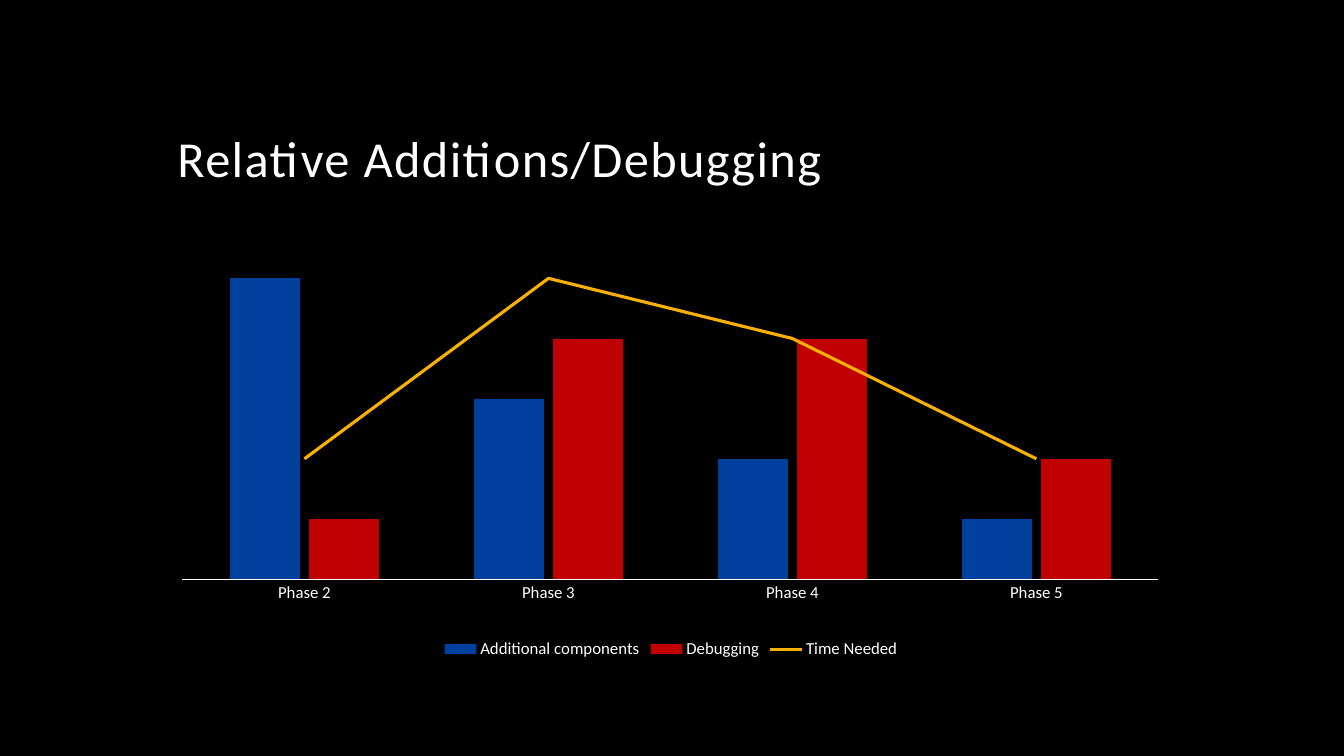
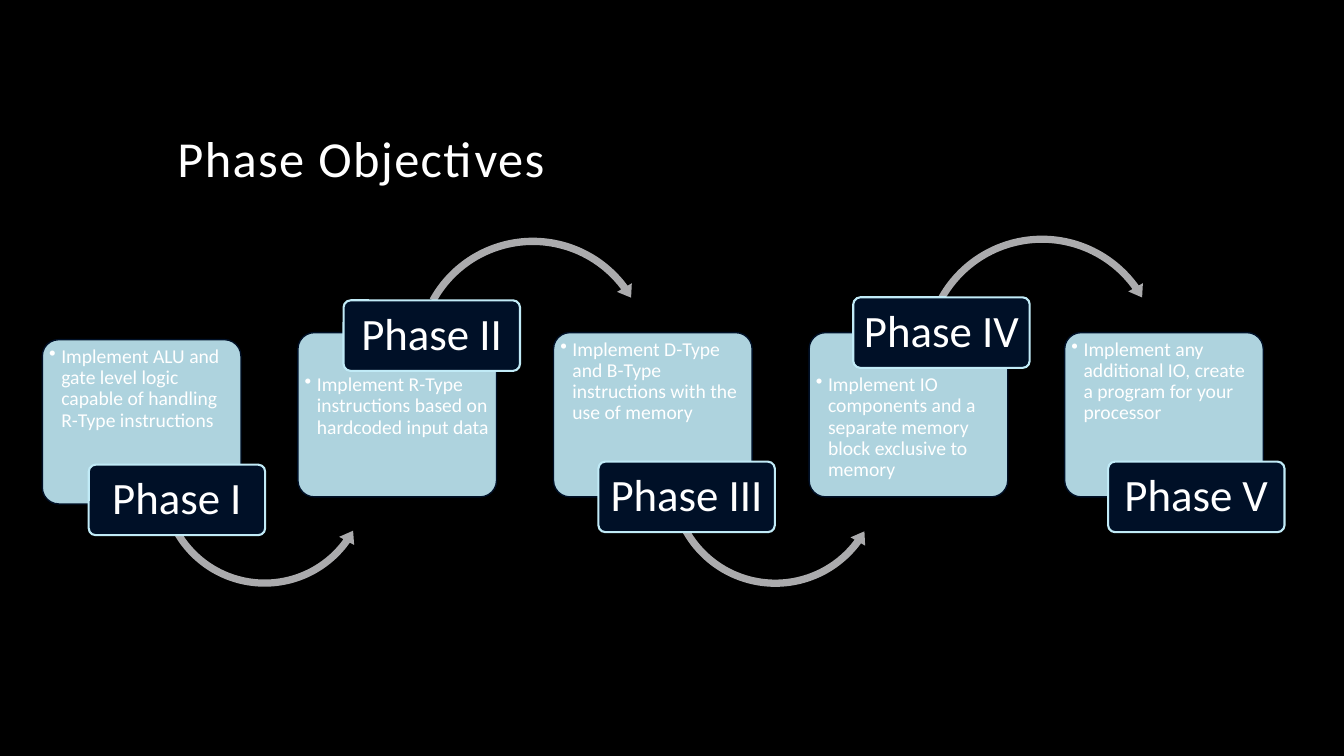
from lxml import etree
from pptx import Presentation
from pptx import util as u
from pptx.chart.data import CategoryChartData
from pptx.dml.color import RGBColor
from pptx.enum import chart as charts, shapes, text
from pptx.oxml.ns import qn

# Shared look
FONT = "Calibri"
WHITE, BLACK = "FFFFFF", "000000"
NAVY, PALE, GREY = "001027", "C1EBF7", "ABABAD"
BLUE, RED, AMBER = "00409D", "C00000", "F8B004"
TITLE_BOX = (1.66, 0.42, 10, 1.5)

# Chart content
PHASES = ["Phase 2", "Phase 3", "Phase 4", "Phase 5"]
SERIES = [
    ("Additional components", (100, 60, 40, 20), BLUE),
    ("Debugging", (20, 80, 80, 40), RED),
    ("Time Needed", (40, 100, 80, 40), AMBER),
]
PLOT_LAYOUT = {"layoutTarget": "inner", "xMode": "edge", "yMode": "edge",
               "x": 0.015, "y": 0.019, "w": 0.969, "h": 0.796}

# Objectives: label, text, card top, label top
OBJECTIVES = [
    ("Phase I", "Implement ALU and gate level logic capable of handling "
     "R-Type instructions", 3.37, 4.61),
    ("Phase II", "Implement R-Type instructions based on hardcoded input data",
     3.3, 2.98),
    ("Phase III", "Implement D-Type and B-Type instructions with the use of memory",
     3.3, 4.58),
    ("Phase IV", "Implement IO components and a separate memory block exclusive "
     "to memory", 3.3, 2.95),
    ("Phase V", "Implement any additional IO, create a program for your processor",
     3.3, 4.58),
]
# Arrows from each phase to the next: left, top, size, adjustments
ARROWS = [
    (1.54, 3.7, 2.17, (0.033, 4.11, 21.335, 89.715, 0.039)),
    (4.07, 2.31, 2.43, (0.03, 3.653, 194.121, 125.284, 0.035)),
    (6.59, 3.67, 2.2, (0.033, 4.054, 21.809, 90.245, 0.038)),
    (9.11, 2.29, 2.45, (0.029, 3.609, 194.636, 125.755, 0.034)),
]
CARD_LEFT, CARD_STEP, CARD_SIZE = 0.42, (10.56 - 0.42) / 4, (1.97, 1.63)
LABEL_LEFT, LABEL_STEP, LABEL_SIZE = 0.88, (10.99 - 0.88) / 4, (1.75, 0.7)


def color(value):
    return RGBColor.from_string(value)


def assign(target, **values):
    for name, value in values.items():
        setattr(target, name, value)


def paint(fill, value):
    fill.solid()
    fill.fore_color.rgb = color(value)


def style_line(line, value, width):
    paint(line.fill, value)
    line.width = u.Pt(width)


def style_font(font, size):
    assign(font, name=FONT, size=u.Pt(size), bold=False)
    font.color.rgb = color(WHITE)


def write(shape, words, size, align, anchor, insets):
    """Put one styled paragraph into a shape; insets are left, top, right, bottom."""
    frame = shape.text_frame
    sides = ("margin_left", "margin_top", "margin_right", "margin_bottom")
    assign(frame, word_wrap=True, auto_size=text.MSO_AUTO_SIZE.NONE,
           vertical_anchor=anchor, **dict(zip(sides, map(u.Inches, insets))))
    para = frame.paragraphs[0]
    assign(para, alignment=align, line_spacing=0.9)
    span = para.add_run()
    span.text = words
    style_font(span.font, size)
    return para, span


def add_bullet(para, indent):
    properties = para._p.get_or_add_pPr()
    properties.set("marL", str(u.Inches(indent)))
    properties.set("indent", str(-u.Inches(indent)))
    etree.SubElement(properties, qn("a:buChar"), char="•")


def add_page(deck, heading):
    page = deck.slides.add_slide(deck.slide_layouts.get_by_name("Title Only"))
    title = page.shapes.title
    left, top, width, height = map(u.Inches, TITLE_BOX)
    assign(title, left=left, top=top, width=width, height=height)
    span = write(title, heading, 36, text.PP_ALIGN.LEFT,
                 text.MSO_ANCHOR.BOTTOM, (0.1, 0.05, 0.1, 0.05))[1]
    span._r.get_or_add_rPr().set("spc", "100")
    return page


def add_shape(page, kind, box, fill, adjustments, line=None, width=1):
    shape = page.shapes.add_shape(kind, *map(u.Inches, box))
    shape.shadow.inherit = False
    for index, value in enumerate(adjustments):
        shape.adjustments[index] = value
    paint(shape.fill, fill)
    if line:
        style_line(shape.line, line, width)
    else:
        shape.line.fill.background()
    return shape


# Chart parts
def remove_children(parent, tag):
    for child in parent.findall(qn(tag)):
        parent.remove(child)


def set_plot_layout(plot_area):
    remove_children(plot_area, "c:layout")
    layout = etree.Element(qn("c:layout"))
    manual = etree.SubElement(layout, qn("c:manualLayout"))
    for name, value in PLOT_LAYOUT.items():
        etree.SubElement(manual, qn(f"c:{name}"), val=str(value))
    plot_area.insert(0, layout)


def move_last_series_to_line(plot_area):
    bars = plot_area.find(qn("c:barChart"))
    series = bars.findall(qn("c:ser"))[-1]
    remove_children(series, "c:invertIfNegative")
    lines = plot_area.makeelement(qn("c:lineChart"))
    bars.addnext(lines)
    etree.SubElement(lines, qn("c:grouping"), val="standard")
    etree.SubElement(lines, qn("c:varyColors"), val="0")
    lines.append(series)
    for axis in bars.findall(qn("c:axId")):
        etree.SubElement(lines, qn("c:axId"), val=axis.get("val"))


def add_combined_chart(page, box):
    data = CategoryChartData()
    data.categories = PHASES
    for name, values, _ in SERIES:
        data.add_series(name, values)
    chart = page.shapes.add_chart(charts.XL_CHART_TYPE.COLUMN_CLUSTERED,
                                  *map(u.Inches, box), data).chart
    assign(chart, has_title=False, has_legend=True)
    style_font(chart.font, 10)

    # Axes and legend
    axis = chart.category_axis
    assign(axis, major_tick_mark=charts.XL_TICK_MARK.NONE, has_major_gridlines=False)
    style_font(axis.tick_labels.font, 12)
    style_line(axis.format.line, WHITE, 0.75)
    assign(chart.value_axis, minimum_scale=0, maximum_scale=120,
           has_major_gridlines=False, visible=False)
    assign(chart.legend, position=charts.XL_LEGEND_POSITION.BOTTOM,
           include_in_layout=False)
    style_font(chart.legend.font, 12)

    # Columns and line
    plot_area = chart._chartSpace.chart.plotArea
    set_plot_layout(plot_area)
    move_last_series_to_line(plot_area)
    columns, lines = chart.plots
    assign(columns, gap_width=137, overlap=-12, vary_by_categories=False)
    for series, (_, _, fill) in zip(columns.series, SERIES):
        series.invert_if_negative = False
        paint(series.format.fill, fill)
    trend = lines.series[0]
    trend.smooth = False
    trend.marker.style = charts.XL_MARKER_STYLE.NONE
    style_line(trend.format.line, SERIES[-1][2], 2.25)


# Objective parts
def add_card(page, box, words, label_above):
    card = add_shape(page, shapes.MSO_SHAPE.ROUNDED_RECTANGLE, box, PALE, (0.1,), NAVY)
    solid = card._element.spPr.find(qn("a:solidFill"))
    etree.SubElement(solid[0], qn("a:alpha"), val="90000")
    top = 0.37 if label_above else 0.02
    para = write(card, words, 14, text.PP_ALIGN.LEFT, text.MSO_ANCHOR.TOP,
                 (0.02, top, 0.02, 0.02))[0]
    add_bullet(para, 0.12)


def add_label(page, box, words):
    label = add_shape(page, shapes.MSO_SHAPE.ROUNDED_RECTANGLE, box, NAVY, (0.1,),
                      PALE, 1.5)
    write(label, words, 32, text.PP_ALIGN.CENTER, text.MSO_ANCHOR.MIDDLE,
          (0.07, 0.04, 0.07, 0.04))


def add_objectives(page):
    for index, (label, words, card_top, label_top) in enumerate(OBJECTIVES):
        label_above = label_top < card_top
        add_card(page, (CARD_LEFT + index * CARD_STEP, card_top, *CARD_SIZE),
                 words, label_above)
        if index < len(ARROWS):
            left, top, size, adjustments = ARROWS[index]
            kind = (shapes.MSO_SHAPE.CIRCULAR_ARROW if label_above
                    else shapes.MSO_SHAPE.LEFT_CIRCULAR_ARROW)
            add_shape(page, kind, (left, top, size, size), GREY, adjustments)
        add_label(page, (LABEL_LEFT + index * LABEL_STEP, label_top, *LABEL_SIZE), label)


def main():
    deck = Presentation()
    assign(deck, slide_width=u.Inches(13.33), slide_height=u.Inches(7.5))
    paint(deck.slide_master.background.fill, BLACK)

    add_combined_chart(add_page(deck, "Relative Additions/Debugging"),
                       (1.66, 2.08, 9.99, 4.5))
    add_objectives(add_page(deck, "Phase Objectives"))
    deck.save("out.pptx")


if __name__ == "__main__":
    main()
